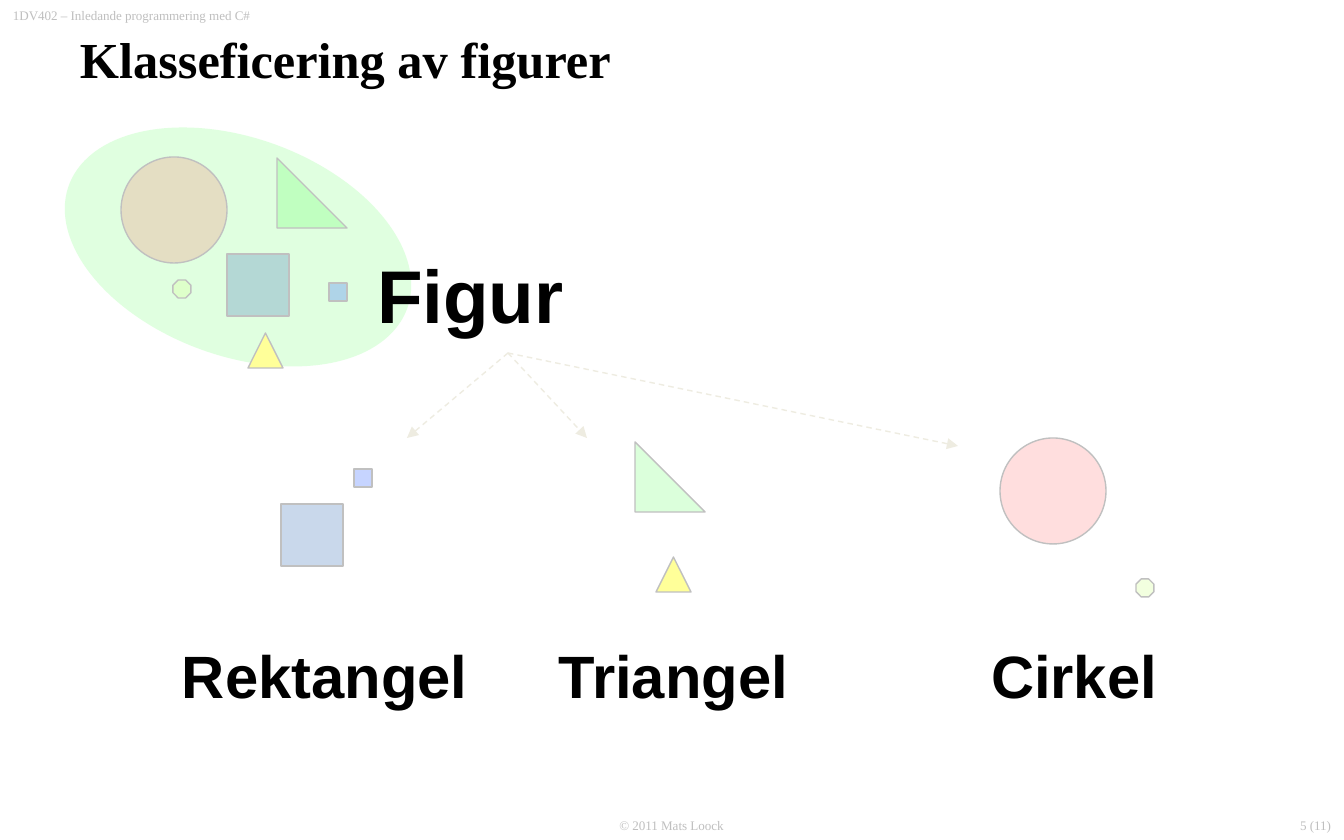
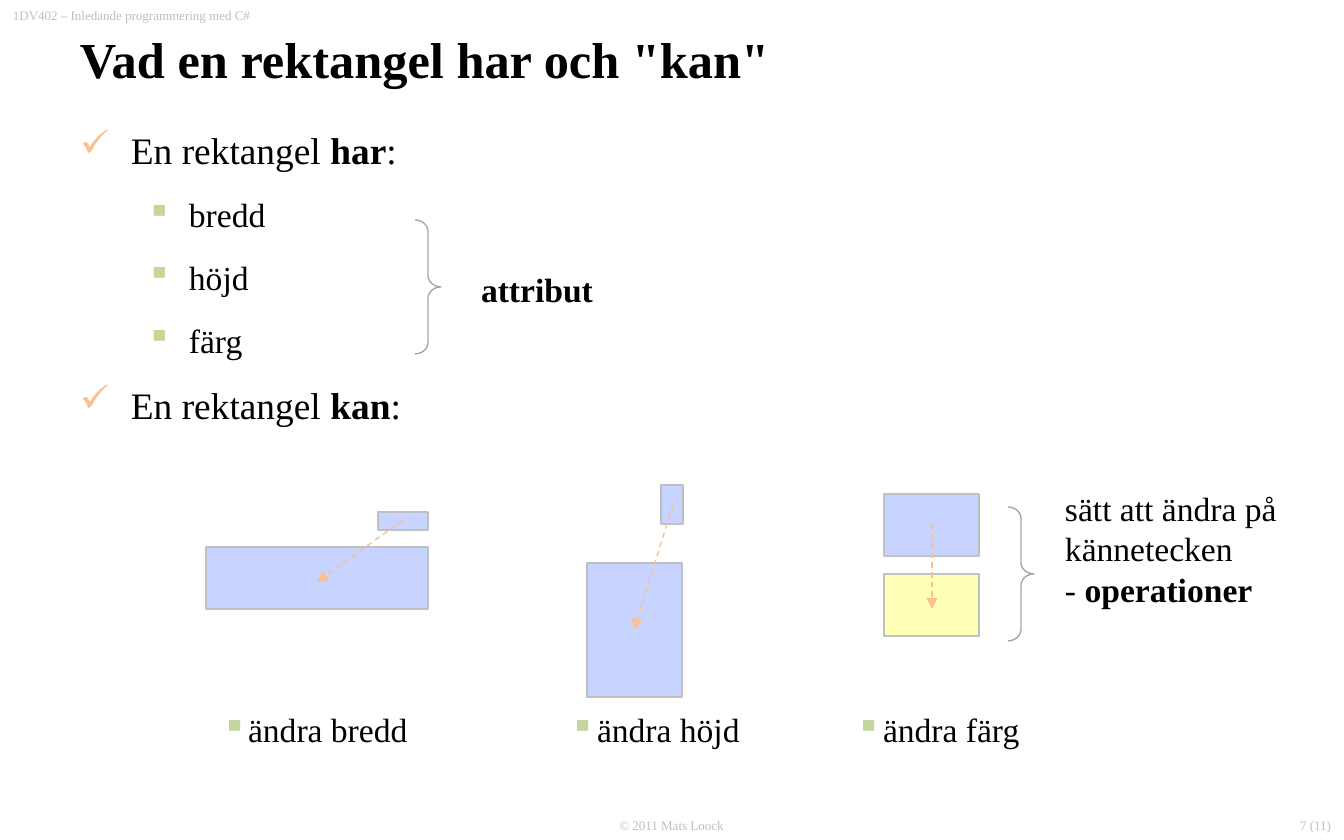
from lxml import etree
from pptx import Presentation
from pptx.dml.color import RGBColor
from pptx.enum.dml import MSO_LINE
from pptx.enum.shapes import MSO_CONNECTOR, MSO_SHAPE
from pptx.enum.text import MSO_ANCHOR, MSO_AUTO_SIZE, PP_ALIGN
from pptx.oxml.ns import qn
from pptx.util import Emu, Pt

LEFT, CENTER, RIGHT = PP_ALIGN.LEFT, PP_ALIGN.CENTER, PP_ALIGN.RIGHT
TOP, BOTTOM = MSO_ANCHOR.TOP, MSO_ANCHOR.BOTTOM
FIT, NO_FIT = MSO_AUTO_SIZE.SHAPE_TO_FIT_TEXT, MSO_AUTO_SIZE.NONE
DASH, STRAIGHT = MSO_LINE.DASH, MSO_CONNECTOR.STRAIGHT
RECT, OVAL, BRACE = MSO_SHAPE.RECTANGLE, MSO_SHAPE.OVAL, MSO_SHAPE.RIGHT_BRACE
RIGHT_TRIANGLE, TRIANGLE = MSO_SHAPE.RIGHT_TRIANGLE, MSO_SHAPE.ISOSCELES_TRIANGLE
OCTAGON = MSO_SHAPE.OCTAGON

PX = 914400 / 134.4
SERIF, SANS = "Times New Roman", "Arial"
COLORS = {
    "text": "000000", "footer": "BFBFBF", "outline": "C0C0C0", "brace": "A6A6A6",
    "cream": "EEECE1", "orange": "FAC090", "olive": "C3D69B", "mint": "CCFFCC",
    "steel": "4F81BD", "blue": "3366FF", "green": "00FF00", "pale": "FFFF99",
    "red": "FF0000", "lime": "DAFF9F", "yellow": "FFFF00",
}

COURSE = "1DV402 – Inledande programmering med C#"
COPYRIGHT = "© 2011 Mats Loock"

FIGURES = {
    "square": (RECT, 62, "steel", 30),
    "small square": (RECT, 18, "blue", 28),
    "right triangle": (RIGHT_TRIANGLE, 70, "green", 14),
    "triangle": (TRIANGLE, 35, "pale", 100),
    "circle": (OVAL, 106, "red", 13),
    "octagon": (OCTAGON, 18, "lime", 33),
}
CLASSIFIED = [
    ("square", 281, 504), ("small square", 354, 469),
    ("right triangle", 635, 442), ("triangle", 656, 557),
    ("circle", 1000, 438), ("octagon", 1136, 579),
]
MIXED = [
    ("square", 227, 254), ("circle", 121, 157), ("right triangle", 277, 158),
    ("triangle", 248, 333), ("small square", 329, 283), ("octagon", 173, 280),
]
CLASSES = [("Rektangel", 169, 314), ("Triangel", 546, 258), ("Cirkel", 978, 195)]
CLASS_ORIGIN = (508, 353)
CLASS_TARGETS = [(407, 438), (587, 438), (958, 446)]

CHECK, DOT = ("✓", "orange"), ("▪", "olive")
HAS_AND_CAN = [
    (0, [("En rektangel ", False), ("har", True), (":", False)]),
    (1, [("bredd", False)]),
    (1, [("höjd", False)]),
    (1, [("färg", False)]),
    (0, [("En rektangel ", False), ("kan", True), (":", False)]),
]
LEVELS = [(20, 51, 51, CHECK), (18, 109, 42, DOT)]
RECTANGLES = [
    (884, 574, 95, 62, "yellow"), (884, 494, 95, 62, "blue"),
    (206, 547, 222, 62, "blue"), (378, 512, 50, 18, "blue"),
    (587, 563, 95, 134, "blue"), (661, 485, 22, 39, "blue"),
]
OPERATIONS = [
    ("ändra bredd", 142, 282, 93, 26),
    ("ändra höjd", 530, 224, 54, 27),
    ("ändra färg", 816, 219, 54, 27),
]
BRACES = [(415, 220), (1008, 507)]
CHANGES = [((403, 520), (317, 582)), ((673, 505), (634, 630)), ((932, 524), (932, 609))]


def px(*values):
    return [Emu(round(v * PX)) for v in values]


def rgb(name):
    return RGBColor.from_string(COLORS[name])


def sub(parent, tag, **attrs):
    return etree.SubElement(parent, qn(tag), attrs)


def add_text_box(s, box, wrap=True, anchor=TOP, fit=FIT, inset=7):
    tf = s.shapes.add_textbox(*px(*box)).text_frame
    tf.word_wrap, tf.vertical_anchor, tf.auto_size = wrap, anchor, fit
    tf.margin_left, tf.margin_right = px(13, 13)
    tf.margin_top, tf.margin_bottom = px(inset, inset)
    return tf


def add_run(p, text, size, bold=False, font=SERIF, color="text"):
    r = p.add_run()
    r.text = text
    r.font.name, r.font.size, r.font.bold = font, Pt(size), bold
    r.font.color.rgb = rgb(color)


def add_label(s, box, text, size, bold=False, font=SERIF, color="text", align=LEFT, **frame):
    p = add_text_box(s, box, **frame).paragraphs[0]
    p.alignment = align
    add_run(p, text, size, bold, font, color)
    return p


def set_bullet(p, level, margin, hang, bullet, before):
    char, color = bullet
    p.level, p.space_before = level, Pt(before)
    ppr = p._p.get_or_add_pPr()
    left, indent = px(margin, -hang)
    ppr.set("marL", str(left))
    ppr.set("indent", str(indent))
    sub(sub(ppr, "a:buClr"), "a:srgbClr", val=COLORS[color])
    sub(ppr, "a:buChar", char=char)


def add_shape(s, kind, box, fill=None, alpha=100, line="outline"):
    sp = s.shapes.add_shape(kind, *px(*box))
    sp.shadow.inherit = False
    if fill:
        sp.fill.solid()
        sp.fill.fore_color.rgb = rgb(fill)
        if alpha < 100:
            clr = sp.fill._xPr.find(".//" + qn("a:srgbClr"))
            sub(clr, "a:alpha", val=str(alpha * 1000))
    else:
        sp.fill.background()
    if line:
        sp.line.color.rgb = rgb(line)
        sp.line.width = Pt(0.75)
    else:
        sp.line.fill.background()
    return sp


def add_arrow(s, start, end, color):
    c = s.shapes.add_connector(STRAIGHT, *px(*start, *end))
    c.line.color.rgb = rgb(color)
    c.line.width, c.line.dash_style = Pt(0.75), DASH
    sub(c.line._get_or_add_ln(), "a:tailEnd", type="triangle")
    sub(c._element.spPr, "a:effectLst")


def add_slide(prs, title, number):
    s = prs.slides.add_slide(prs.slide_layouts[6])
    footer = {"size": 7, "color": "footer"}
    add_label(s, (1120, 810, 224, 30), f"{number} (11)", align=RIGHT, anchor=BOTTOM, **footer)
    add_label(s, (555, 810, 233, 30), COPYRIGHT, align=CENTER, anchor=BOTTOM, **footer)
    add_label(s, (0, 0, 616, 46), COURSE, **footer)
    add_label(s, (67, 15, 1210, 87), title, 27, True, inset=13)
    return s


def add_figures(s, places):
    for name, x, y in places:
        kind, size, fill, alpha = FIGURES[name]
        add_shape(s, kind, (x, y, size, size), fill, alpha)


def build_classes(prs):
    s = add_slide(prs, "Klasseficering av figurer", 5)
    add_shape(s, OVAL, (58, 138, 360, 218), "mint", 60, line=None).rotation = 20
    add_figures(s, CLASSIFIED)
    for text, x, w in CLASSES:
        add_label(s, (x, 632, w, 86), text, 32, True, SANS, wrap=False)
    for target in CLASS_TARGETS:
        add_arrow(s, CLASS_ORIGIN, target, "cream")
    add_label(s, (364, 242, 215, 103), "Figur", 40, True, SANS, wrap=False)
    add_figures(s, MIXED)


def build_rectangle(prs):
    s = add_slide(prs, 'Vad en rektangel har och "kan"', 7)
    tf = add_text_box(s, (67, 120, 1210, 679), fit=NO_FIT)
    for i, (level, runs) in enumerate(HAS_AND_CAN):
        p = tf.add_paragraph() if i else tf.paragraphs[0]
        size, margin, hang, bullet = LEVELS[level]
        set_bullet(p, level, margin, hang, bullet, 12)
        for text, bold in runs:
            add_run(p, text, size, bold)
    for *box, fill in RECTANGLES:
        add_shape(s, RECT, box, fill, 28)
    add_label(s, (468, 262, 144, 54), "attribut", 18, True, wrap=False)
    p = add_label(s, (1052, 481, 265, 136), "sätt att ändra på kännetecken", 18)
    p.add_line_break()
    add_run(p, "- ", 18)
    add_run(p, "operationer", 18, True)
    for text, x, w, margin, hang in OPERATIONS:
        p = add_label(s, (x, 702, w, 54), text, 18, wrap=False)
        set_bullet(p, 1, margin, hang, DOT, 4)
    for x, y in BRACES:
        brace = add_shape(s, BRACE, (x, y, 26, 134), line="brace")
        brace.adjustments[0], brace.adjustments[1] = 0.44, 0.5
    for start, end in CHANGES:
        add_arrow(s, start, end, "orange")


def main():
    prs = Presentation()
    prs.slide_width, prs.slide_height = px(1344, 840)
    build_classes(prs)
    build_rectangle(prs)
    prs.save("out.pptx")


if __name__ == "__main__":
    main()
